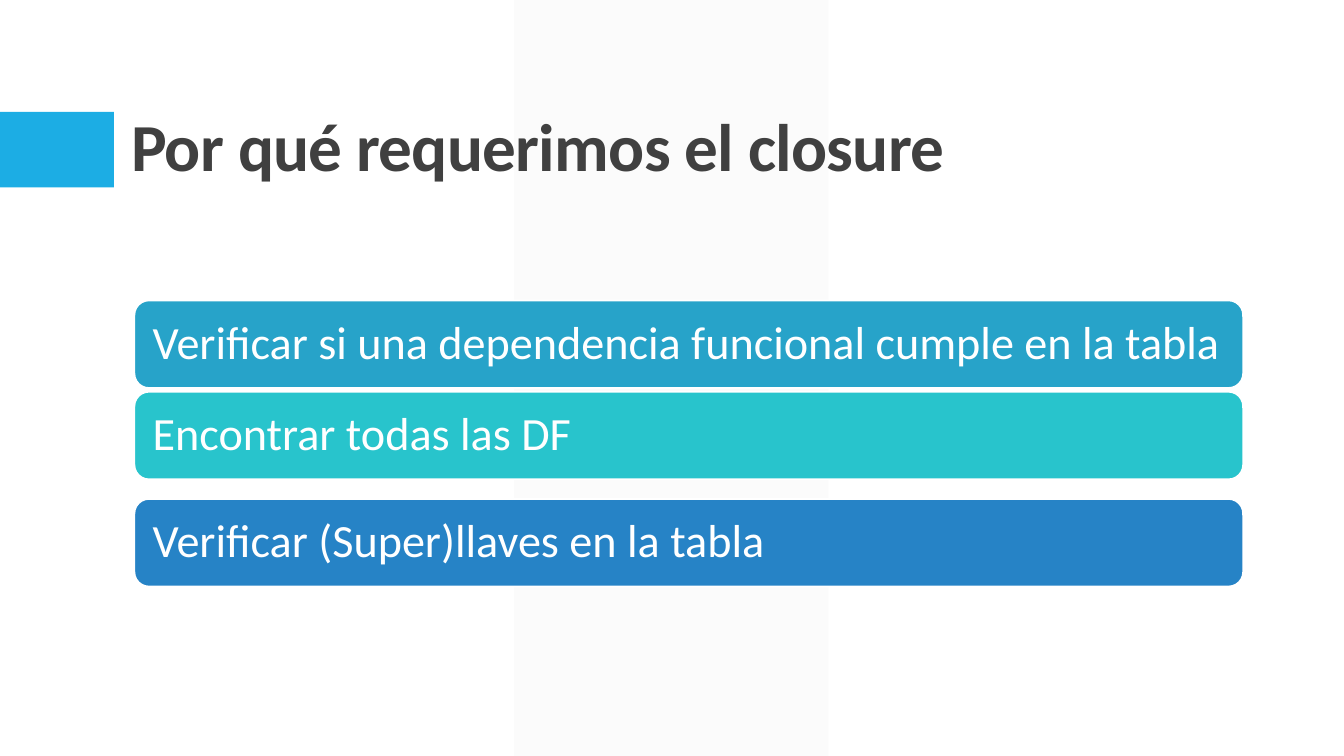
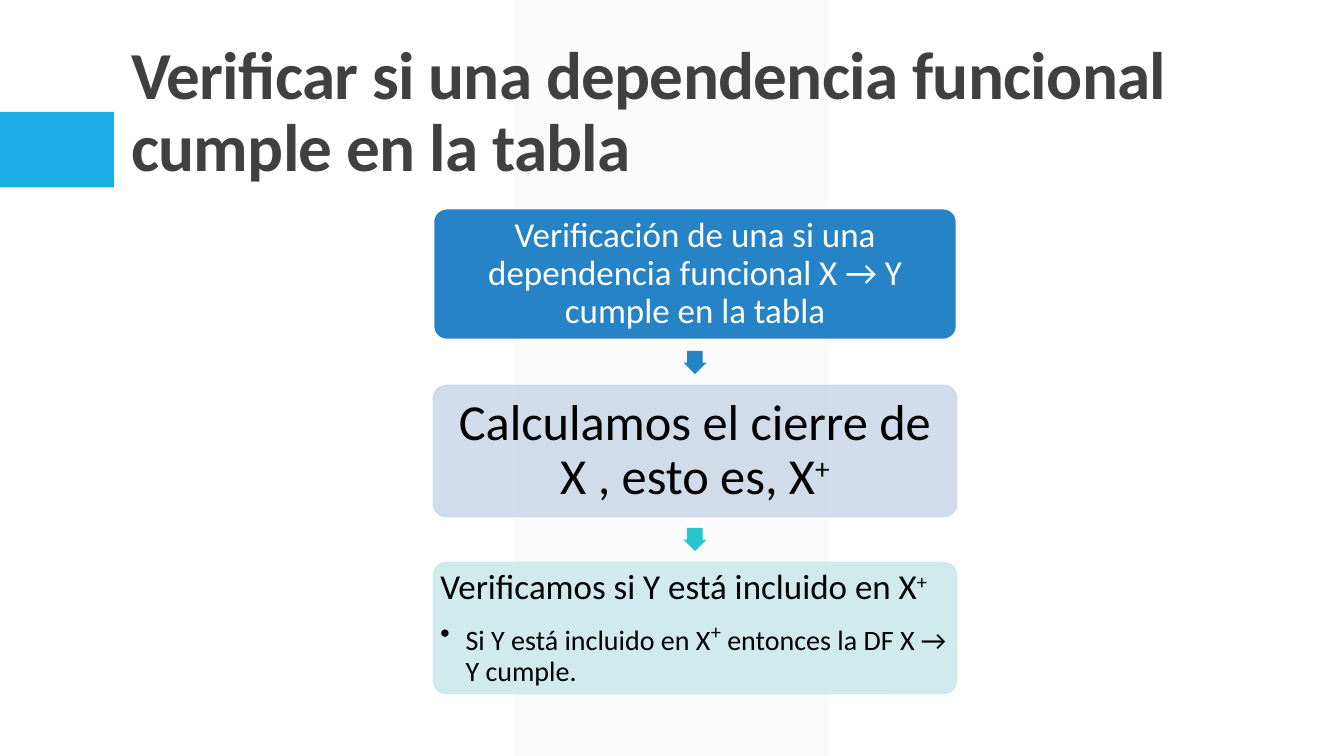
from lxml.etree import SubElement as sub
from pptx import Presentation as Deck
from pptx.dml.color import RGBColor as Rgb
from pptx.enum.shapes import MSO_SHAPE as Form
from pptx.enum.text import MSO_ANCHOR as Anchor, PP_ALIGN as Align
from pptx.oxml.ns import qn
from pptx.util import Pt

FONT = "Calibri"
BLUE, TEAL, SEA = "2683C6", "28C4CC", "27A3C9"
WHITE, BLACK, DARK = "FFFFFF", "000000", "404040"
WIDE, HIGH = 960, 540
TITLE = (86.4, 22.3, 792, 114.5)
BARS = (96, 214.6, 792, 204.4)
STEPS = (309.6, 149, 373.7, 346.4)


def hue(code):
    return Rgb.from_string(code)


def put(item, style):
    for name, value in style.items():
        setattr(item, name, value)


def paint(fill, code, alpha=100):
    fill.solid()
    fill.fore_color.rgb = hue(code)
    if alpha < 100:
        for tone in fill._xPr.iter(qn("a:srgbClr")):
            sub(tone, qn("a:alpha"), val=str(alpha * 1000))


def shape(slide, form, box, code, alpha=100, edge=None, turns=()):
    part = slide.shapes.add_shape(form, *map(Pt, box))
    part.shadow.inherit = False
    for i, turn in enumerate(turns):
        part.adjustments[i] = turn
    paint(part.fill, code, alpha)
    if edge:
        paint(part.line.fill, edge, alpha)
        part.line.width = Pt(1.25)
    else:
        part.line.fill.background()
    return part


def write(para, text, size, color, raised=None, bold=False):
    for i, piece in enumerate(text.split("^")):
        if not piece:
            continue
        run = para.add_run()
        run.text = piece
        high = i % 2
        put(run.font, {"name": FONT, "bold": bold,
                       "size": Pt(raised if high and raised else size)})
        run.font.color.rgb = hue(color)
        if high:
            run.font._element.set("baseline", "30000")


def fill_text(part, lines, color, pad, align, anchor):
    frame = part.text_frame
    put(frame, {"word_wrap": True, "vertical_anchor": anchor,
                "margin_left": Pt(pad), "margin_right": Pt(pad),
                "margin_top": Pt(pad), "margin_bottom": Pt(pad)})
    for i, line in enumerate(lines):
        para = frame.add_paragraph() if i else frame.paragraphs[0]
        put(para, {"alignment": align, "line_spacing": 0.9,
                   "space_after": Pt(3 if i else 9)})
        write(para, line[0], line[1], color, *line[2:])
        if i:
            props = para._p.get_or_add_pPr()
            props.set("marL", str(Pt(18)))
            props.set("indent", str(-Pt(18)))
            sub(props, qn("a:buChar"), char="•")


def dress(slide):
    band = shape(slide, Form.RECTANGLE, (367.2, 0, 224.6, HIGH), "F2F2F2", 30)
    block = shape(slide, Form.RECTANGLE, (0, 79.9, 81.4, 54), "1CADE4")
    for part in (band, block):
        slide.slide_layout.shapes.element.append(part.element)


def head(slide, box, text):
    title = slide.shapes.title
    x, y, w, h = map(Pt, box)
    put(title, {"left": x, "top": y, "width": w, "height": h})
    put(title.text_frame, {"word_wrap": True, "vertical_anchor": Anchor.BOTTOM})
    para = title.text_frame.paragraphs[0]
    put(para, {"alignment": Align.LEFT, "line_spacing": 0.9})
    write(para, text, 48, DARK, bold=True)
    for run in para.runs:
        run.font._element.set("spc", "-50")


def bars(slide, box, rows):
    x, y, w, h = box
    tall = 62.6
    for text, code, drop in rows:
        bar = shape(slide, Form.ROUNDED_RECTANGLE,
                    (x, y + drop * (h - tall), w, tall), code, edge=WHITE)
        fill_text(bar, [(text, 33)], WHITE, 10, Align.LEFT, Anchor.MIDDLE)


def steps(slide, box, cards, tips):
    x, y, w, h = box
    tall, tip = 93.6, 16.6
    pitch = (h - tall) / (len(cards) - 1)
    for i, (look, words) in enumerate(cards):
        card = shape(slide, Form.ROUNDED_RECTANGLE,
                     (x, y + i * pitch, w, tall), turns=[0.1], **look)
        fill_text(card, **words)
    for i, code in enumerate(tips):
        mid = y + i * pitch + (tall + pitch) / 2
        shape(slide, Form.DOWN_ARROW,
              (x + (w - tip) / 2, mid - tip / 2, tip, tip),
              code, turns=[0.667, 0.5])


def main():
    deck = Deck()
    put(deck, {"slide_width": Pt(WIDE), "slide_height": Pt(HIGH)})
    plain = deck.slide_layouts[5]
    check = "Verificar si una dependencia funcional cumple en la tabla"

    first = deck.slides.add_slide(plain)
    dress(first)
    head(first, TITLE, "Por qué requerimos el closure")
    bars(first, BARS, [
        (check, SEA, 0),
        ("Encontrar todas las DF", TEAL, 0.46),
        ("Verificar (Super)llaves en la tabla", BLUE, 1),
    ])

    second = deck.slides.add_slide(plain)
    head(second, TITLE, check)
    mid = {"align": Align.CENTER, "anchor": Anchor.MIDDLE}
    steps(second, STEPS, [
        ({"code": BLUE, "edge": WHITE},
         {"lines": [("Verificación de una si una dependencia funcional "
                     "X → Y cumple en la tabla", 25)],
          "color": WHITE, "pad": 2.2, **mid}),
        ({"code": "CDD9EA", "edge": "CDD9EA", "alpha": 90},
         {"lines": [("Calculamos el cierre de X , esto es, X^+", 36)],
          "color": BLACK, "pad": 3.6, **mid}),
        ({"code": "CDE9EC", "edge": "CDE9EC", "alpha": 90},
         {"lines": [("Verificamos si Y está incluido en X^+", 25),
                    ("Si Y está incluido en X^+^ entonces la DF "
                     "X → Y cumple.", 20, 25)],
          "color": BLACK, "pad": 2.2,
          "align": Align.LEFT, "anchor": Anchor.TOP}),
    ], [BLUE, TEAL])
    deck.save("out.pptx")


if __name__ == "__main__":
    main()
